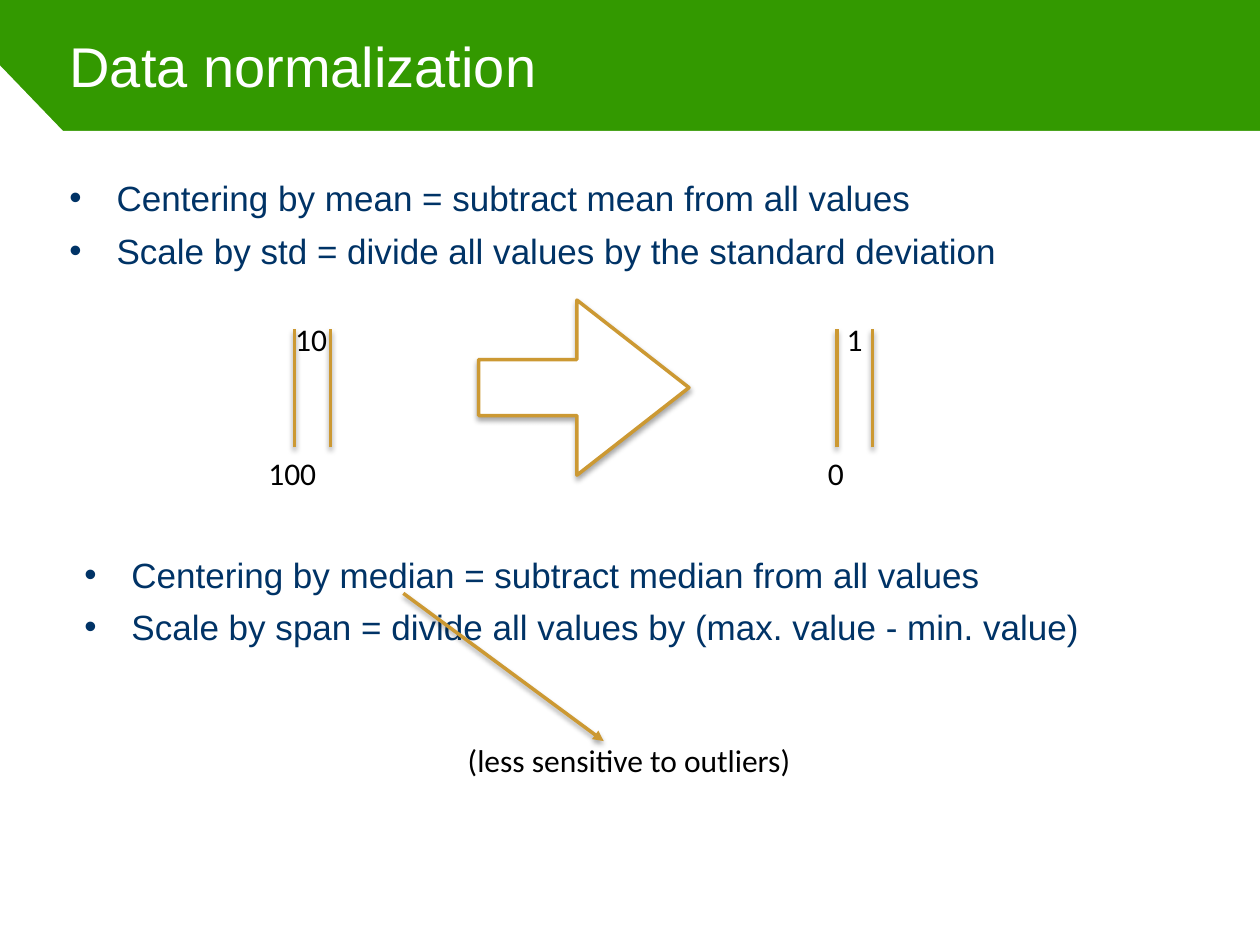
from lxml import etree
from pptx import Presentation
from pptx.dml.color import RGBColor
from pptx.enum.shapes import MSO_CONNECTOR, MSO_SHAPE
from pptx.enum.text import MSO_ANCHOR, MSO_AUTO_SIZE, PP_ALIGN
from pptx.oxml import parse_xml
from pptx.oxml.ns import qn
from pptx.util import Cm, Pt

STRAIGHT = MSO_CONNECTOR.STRAIGHT
ARROW = MSO_SHAPE.RIGHT_ARROW
TOP, MIDDLE = MSO_ANCHOR.TOP, MSO_ANCHOR.MIDDLE
FIXED, GROW = MSO_AUTO_SIZE.NONE, MSO_AUTO_SIZE.SHAPE_TO_FIT_TEXT
LEFT = PP_ALIGN.LEFT

COLORS = {"green": "339900", "white": "FFFFFF", "navy": "003366",
          "gold": "CC9933", "black": "000000"}
SHADOW = (
    '<a:effectLst xmlns:a="http://schemas.openxmlformats.org/drawingml/2006/main">'
    '<a:outerShdw blurRad="38100" dist="22860" dir="5400000" rotWithShape="0">'
    '<a:srgbClr val="000000"><a:alpha val="35000"/></a:srgbClr>'
    '</a:outerShdw></a:effectLst>')


class Painter:
    def __init__(self, slide):
        self.slide = slide
        self.shapes = slide.shapes

    def color(self, name):
        return RGBColor.from_string(COLORS[name])

    def fill(self, item, name):
        item.fill.solid()
        item.fill.fore_color.rgb = self.color(name)

    def stroke(self, item):
        item.line.color.rgb = self.color("gold")
        item.line.width = Pt(2)

    def shade(self, item):
        props = item._element.spPr
        for old in props.findall(qn("a:effectLst")):
            props.remove(old)
        props.append(parse_xml(SHADOW))

    def place(self, item, box):
        item.left, item.top, item.width, item.height = map(Cm, box)

    def frame(self, item, anchor=TOP, wrap=True, fit=FIXED):
        frame = item.text_frame
        frame.margin_left = frame.margin_right = Cm(0.13)
        frame.margin_top = frame.margin_bottom = Cm(0.13)
        frame.vertical_anchor = anchor
        frame.word_wrap = wrap
        frame.auto_size = fit
        return frame

    def style(self, para, font, size, name):
        para.alignment = LEFT
        para.font.name = font
        para.font.size = Pt(size)
        para.font.color.rgb = self.color(name)

    def back(self, points):
        self.slide.background.fill.solid()
        self.slide.background.fill.fore_color.rgb = self.color("green")
        start, *rest = [(Cm(x), Cm(y)) for x, y in points]
        build = self.shapes.build_freeform(*start)
        build.add_line_segments(rest, close=True)
        panel = build.convert_to_shape()
        self.fill(panel, "white")
        panel.line.fill.background()
        panel.shadow.inherit = False
        self.shapes._spTree.insert(2, panel._element)

    def title(self, text, box):
        item = self.shapes.title
        self.place(item, box)
        frame = self.frame(item, MIDDLE)
        frame.text = text
        self.style(frame.paragraphs[0], "Arial", 32, "white")

    def bullets(self, item, lines):
        frame = self.frame(item)
        frame.text = "\n".join(lines)
        for i, para in enumerate(frame.paragraphs):
            props = para._p.get_or_add_pPr()
            props.set("marL", str(Cm(0.95)))
            props.set("indent", str(-Cm(0.95)))
            etree.SubElement(props, qn("a:buFont")).set("typeface", "Arial")
            etree.SubElement(props, qn("a:buChar")).set("char", "•")
            para.space_before = Pt(6 if i else 0)
            self.style(para, "Arial", 20, "navy")

    def body(self, lines, box):
        item = self.slide.placeholders[1]
        self.place(item, box)
        self.bullets(item, lines)

    def list(self, lines, box):
        self.bullets(self.shapes.add_textbox(*map(Cm, box)), lines)

    def label(self, text, x, y, width):
        item = self.shapes.add_textbox(Cm(x), Cm(y), Cm(width), Cm(1.04))
        frame = self.frame(item, wrap=False, fit=GROW)
        frame.text = text
        self.style(frame.paragraphs[0], "Calibri", 18, "black")

    def line(self, start, end, head=False):
        item = self.shapes.add_connector(STRAIGHT, *map(Cm, start + end))
        self.stroke(item)
        if head:
            tail = etree.SubElement(item.line._get_or_add_ln(), qn("a:tailEnd"))
            tail.set("type", "triangle")
        self.shade(item)

    def arrow(self, box):
        item = self.shapes.add_shape(ARROW, *map(Cm, box))
        item.adjustments[0], item.adjustments[1] = 0.32, 0.64
        self.fill(item, "white")
        self.stroke(item)
        self.shade(item)


def main():
    deck = Presentation()
    wide, high = 25.4, 19.05
    deck.slide_width, deck.slide_height = Cm(wide), Cm(high)
    art = Painter(deck.slides.add_slide(deck.slide_layouts[1]))

    art.back([(1.27, 2.64), (0, 1.32), (0, high), (wide, high), (wide, 2.64)])
    art.title("Data normalization", (1.27, 0, 22.86, 2.64))
    art.body(["Centering by mean = subtract mean from all values",
              "Scale by std = divide all values by the standard deviation"],
             (1.27, 3.43, 22.86, 2.39))
    art.list(["Centering by median = subtract median from all values",
              "Scale by span = divide all values by (max. value - min. value)"],
             (1.57, 11.02, 22.86, 2.06))

    top, base, gap = 6.63, 9.02, 0.72
    for left in (5.94, 16.87):
        for x in (left, left + gap):
            art.line((x, base), (x, top))
    for text, x, y, width in (("100", 5.28, base, 1.35), ("0", 16.56, base, 0.64),
                              ("10", 5.82, 6.32, 0.99), ("1", 16.94, 6.32, 0.64)):
        art.label(text, x, y, width)
    art.arrow((9.65, 6.05, 4.24, 3.53))

    art.label("(less sensitive to outliers)", 9.3, 14.81, 7.42)
    art.line((8.13, 11.96), (12.17, 14.94), head=True)
    deck.save("out.pptx")


if __name__ == "__main__":
    main()
